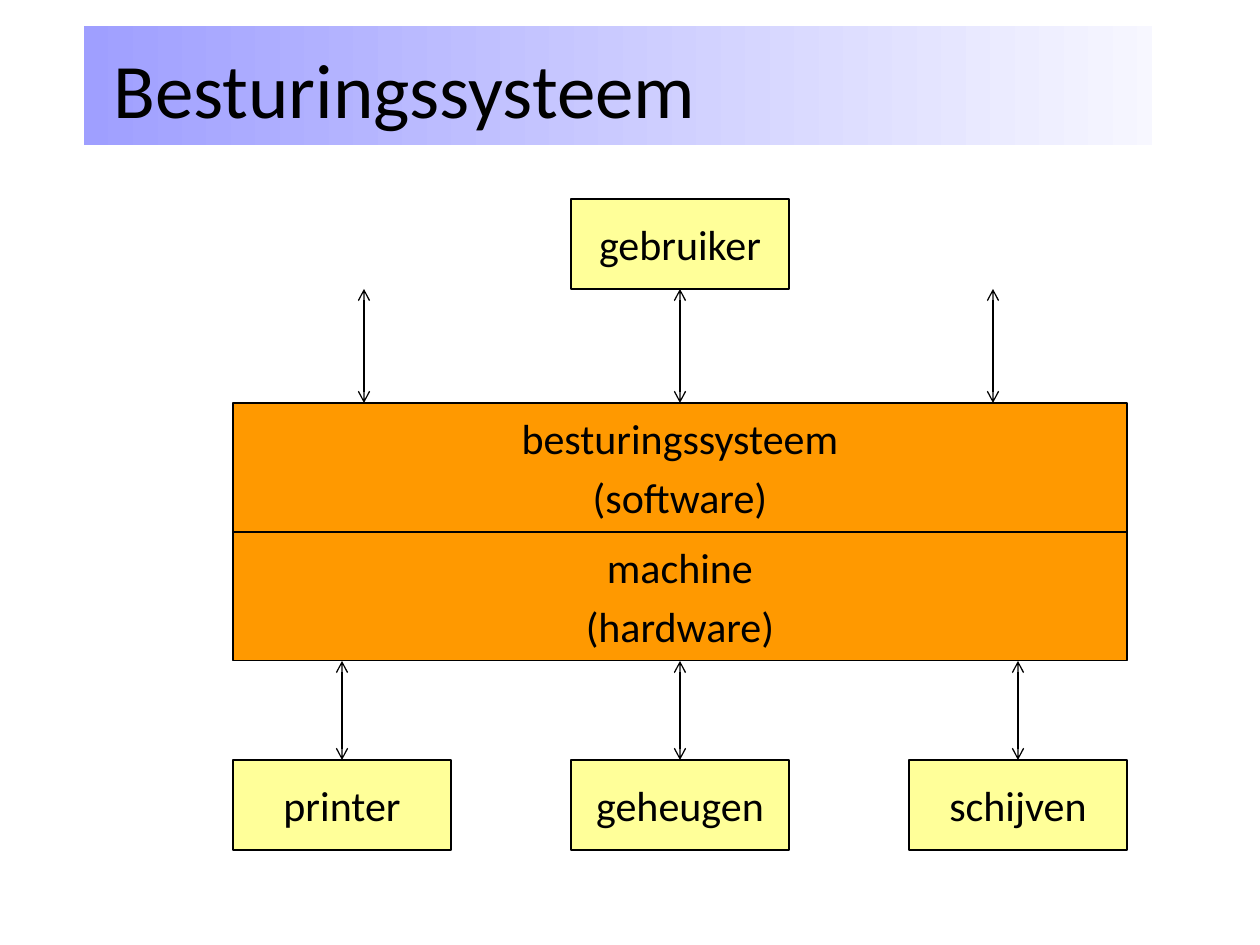
from lxml.etree import SubElement as Sub
from pptx import Presentation
from pptx.dml.color import RGBColor
from pptx.enum.shapes import MSO_CONNECTOR as Conn, MSO_SHAPE as Kind
from pptx.enum.text import MSO_ANCHOR as Anchor, PP_ALIGN as Align
from pptx.oxml.ns import qn
from pptx.util import Inches, Pt

TOP, BOTTOM = 0, 2


def px(count):
    return round(count * Inches(1) / 126)


def color(code):
    return RGBColor.from_string(code)


def write(shape, text, size=24, align=Align.CENTER, wrap=False, gap=4.8):
    """Fill a shape with one paragraph per line of text."""
    frame = shape.text_frame
    frame.word_wrap = wrap
    frame.vertical_anchor = Anchor.MIDDLE
    frame.text = text
    for i, para in enumerate(frame.paragraphs):
        para.alignment = align
        if i:
            para.space_before = Pt(gap)
        para.font.name = "Calibri"
        para.font.size = Pt(size)
        para.font.color.rgb = color("000000")


class Board:
    """Holds the style and the current slide."""
    ink, line = "000000", 0.75
    sand, amber = "FFFF99", "FF9900"

    def __init__(self, deck):
        self.slide = deck.slides.add_slide(deck.slide_layouts[6])
        self.shapes = self.slide.shapes

    def rect(self, x, y, w, h):
        shape = self.shapes.add_shape(Kind.RECTANGLE, px(x), px(y), px(w), px(h))
        shape.shadow.inherit = False
        return shape

    def fade(self, x, y, w, h, *codes):
        """Add a borderless bar that blends from left to right."""
        bar = self.rect(x, y, w, h)
        bar.line.fill.background()
        bar.fill.gradient()
        bar.fill.gradient_angle = 0
        for stop, code in zip(bar.fill.gradient_stops, codes):
            stop.color.rgb = color(code)

    def mask(self, x, y, w, h):
        """Add a plain white strip."""
        strip = self.rect(x, y, w, h)
        strip.line.fill.background()
        strip.fill.solid()
        strip.fill.fore_color.rgb = color("FFFFFF")

    def title(self, text, x, y, w, h):
        box = self.shapes.add_textbox(px(x), px(y), px(w), px(h))
        write(box, text, size=44, align=Align.LEFT, wrap=True)

    def box(self, text, x, y, w, h, fill):
        shape = self.rect(x, y, w, h)
        shape.fill.solid()
        shape.fill.fore_color.rgb = color(fill)
        shape.line.color.rgb = color(self.ink)
        shape.line.width = Pt(self.line)
        write(shape, text)
        return shape

    def arrow(self, x, top, end, start=None, stop=None):
        """Add a vertical two-headed arrow, joined to boxes where given."""
        link = self.shapes.add_connector(
            Conn.STRAIGHT, px(x), px(top), px(x), px(end))
        link.line.color.rgb = color(self.ink)
        link.line.width = Pt(self.line)
        line = link.line._get_or_add_ln()
        for tip in ("a:headEnd", "a:tailEnd"):
            Sub(line, qn(tip), type="arrow")
        Sub(link._element.spPr, qn("a:effectLst"))
        if start:
            link.begin_connect(start, BOTTOM)
        if stop:
            link.end_connect(stop, TOP)


def main():
    deck = Presentation()
    deck.slide_width, deck.slide_height = Inches(10), Inches(7.5)
    board = Board(deck)

    board.fade(84, 26, 1176, 119, "9F9FFF", "FFFFFF")
    board.mask(1152, 0, 108, 945)
    board.title("Besturingssysteem", 101, 9, 1051, 158)

    left, wide, tall = 233, 894, 129
    small, low = 218, 90
    step = (wide - small) // 2
    mid = left + wide // 2
    user_y, soft_y, part_y = 199, 403, 760
    hard_y = soft_y + tall

    hard = board.box("machine\n(hardware)", left, hard_y, wide, tall, board.amber)
    soft = board.box("besturingssysteem\n(software)", left, soft_y, wide, tall,
                     board.amber)
    user = board.box("gebruiker", left + step, user_y, small, low, board.sand)

    for i, name in enumerate(("printer", "geheugen", "schijven")):
        x = left + i * step
        part = board.box(name, x, part_y, small, low, board.sand)
        board.arrow(x + small // 2, hard_y + tall, part_y,
                    hard if i == 1 else None, part)

    board.arrow(mid, user_y + low, soft_y, user, soft)
    for x in (364, 993):
        board.arrow(x, user_y + low, soft_y)

    deck.save("out.pptx")


if __name__ == "__main__":
    main()
